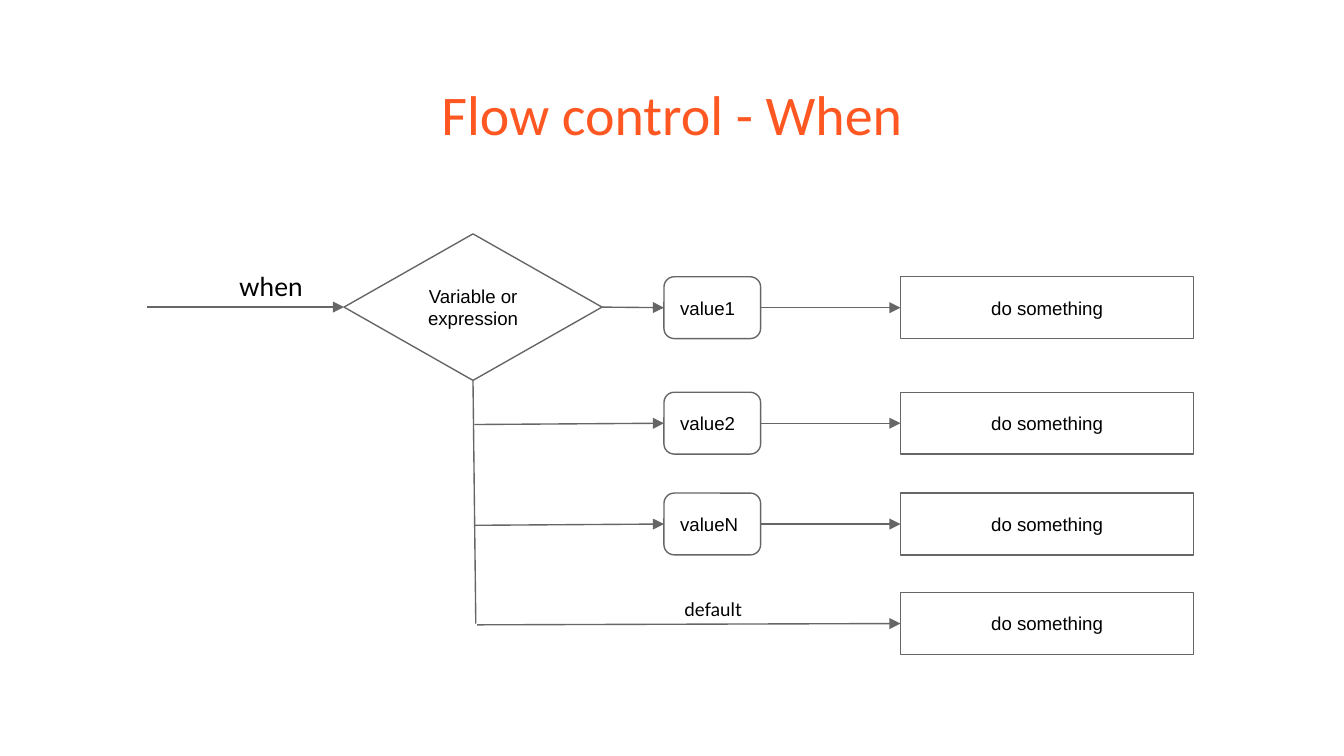
from dataclasses import dataclass
from typing import NamedTuple

from lxml.etree import SubElement
from pptx import Presentation
from pptx.dml.color import RGBColor
from pptx.enum.shapes import MSO_CONNECTOR, MSO_SHAPE
from pptx.enum.text import MSO_ANCHOR as Anchor, MSO_AUTO_SIZE, PP_ALIGN as Align
from pptx.oxml.ns import qn
from pptx.util import Pt


@dataclass(frozen=True)
class Theme:
    title: RGBColor = RGBColor(0xFF, 0x57, 0x22)
    text: RGBColor = RGBColor(0, 0, 0)
    line: RGBColor = RGBColor(0x66, 0x66, 0x66)
    title_size: float = 30
    when_size: float = 14
    body_size: float = 10
    line_width: float = 0.75
    inset: float = 7.2


class Box(NamedTuple):
    x: float
    y: float
    w: float
    h: float

    @property
    def right(self) -> float:
        return self.x + self.w

    @property
    def bottom(self) -> float:
        return self.y + self.h

    @property
    def cx(self) -> float:
        return self.x + self.w / 2

    @property
    def cy(self) -> float:
        return self.y + self.h / 2


class Case(NamedTuple):
    label: str
    y: float


T = Theme()
TITLE = Box(24.5, 35.3, 671, 45.4)
DECISION = Box(184.3, 125.3, 138.2, 78.5)
VALUE_X, VALUE_W = 355.7, 51.8
ACTION_X, ACTION_W = 482.4, 157
ROW_H = 33.1
CASES = [Case("value1", 148.3), Case("value2", 210.2), Case("valueN", 264.2)]
DEFAULT_Y = 317.5
BRANCH_X, BRANCH_DROP = 254.2, 0.7  # branches start slightly below their targets


def write(sp, text: str, size: float, font: str, color=T.text,
          align=Align.CENTER, anchor=Anchor.TOP) -> None:
    tf = sp.text_frame
    tf.word_wrap = True
    tf.auto_size = MSO_AUTO_SIZE.NONE
    tf.vertical_anchor = anchor
    tf.margin_left = tf.margin_right = Pt(T.inset)
    tf.margin_top = tf.margin_bottom = Pt(T.inset)
    p = tf.paragraphs[0]
    p.alignment = align
    r = p.add_run()
    r.text = text
    r.font.size, r.font.name = Pt(size), font
    r.font.color.rgb = color


def add_node(s, kind: MSO_SHAPE, box: Box, text: str, align=Align.CENTER) -> None:
    sp = s.shapes.add_shape(kind, *map(Pt, box))
    sp.shadow.inherit = False
    sp.fill.background()
    sp.line.color.rgb = T.line
    sp.line.width = Pt(T.line_width)
    write(sp, text, T.body_size, "Arial", align=align, anchor=Anchor.MIDDLE)


def add_label(s, box: Box, text: str, size: float, align: Align) -> None:
    write(s.shapes.add_textbox(*map(Pt, box)), text, size, "Lato", align=align)


def add_line(s, x1: float, y1: float, x2: float, y2: float, arrow: bool = True) -> None:
    c = s.shapes.add_connector(MSO_CONNECTOR.STRAIGHT, *map(Pt, (x1, y1, x2, y2)))
    c.line.color.rgb = T.line
    c.line.width = Pt(T.line_width)
    if arrow:
        SubElement(c.line._get_or_add_ln(), qn("a:tailEnd"), type="triangle")
    SubElement(c._element.spPr, qn("a:effectLst"))


def main() -> None:
    prs = Presentation()
    prs.slide_width, prs.slide_height = Pt(720), Pt(405)
    s = prs.slides.add_slide(prs.slide_layouts[5])

    # Title
    title = s.shapes.title
    title.left, title.top, title.width, title.height = map(Pt, TITLE)
    write(title, "Flow control - When", T.title_size, "Calibri", T.title)

    # Entry and decision
    add_node(s, MSO_SHAPE.DIAMOND, DECISION, "Variable or expression")
    add_line(s, 78.5, DECISION.cy, DECISION.x, DECISION.cy)
    add_label(s, Box(121, 137.5, 58.3, ROW_H), "when", T.when_size, Align.LEFT)

    # One row per case: branch, value, action
    for i, case in enumerate(CASES):
        value = Box(VALUE_X, case.y, VALUE_W, ROW_H)
        action = Box(ACTION_X, case.y, ACTION_W, ROW_H)
        start = (BRANCH_X, value.cy + BRANCH_DROP) if i else (DECISION.right, DECISION.cy)
        add_line(s, *start, value.x, value.cy)
        add_node(s, MSO_SHAPE.FLOWCHART_ALTERNATE_PROCESS, value, case.label, Align.LEFT)
        add_line(s, value.right, value.cy, action.x, action.cy)
        add_node(s, MSO_SHAPE.RECTANGLE, action, "do something")

    # Trunk and default branch
    default = Box(ACTION_X, DEFAULT_Y, ACTION_W, ROW_H)
    add_line(s, DECISION.cx, DECISION.bottom, 254.9, default.cy, arrow=False)
    add_line(s, 255.6, default.cy + BRANCH_DROP, default.x, default.cy)
    add_node(s, MSO_SHAPE.RECTANGLE, default, "do something")
    add_label(s, Box(352.8, 313.2, 58.3, ROW_H), "default", T.body_size, Align.CENTER)

    prs.save("out.pptx")


if __name__ == "__main__":
    main()
